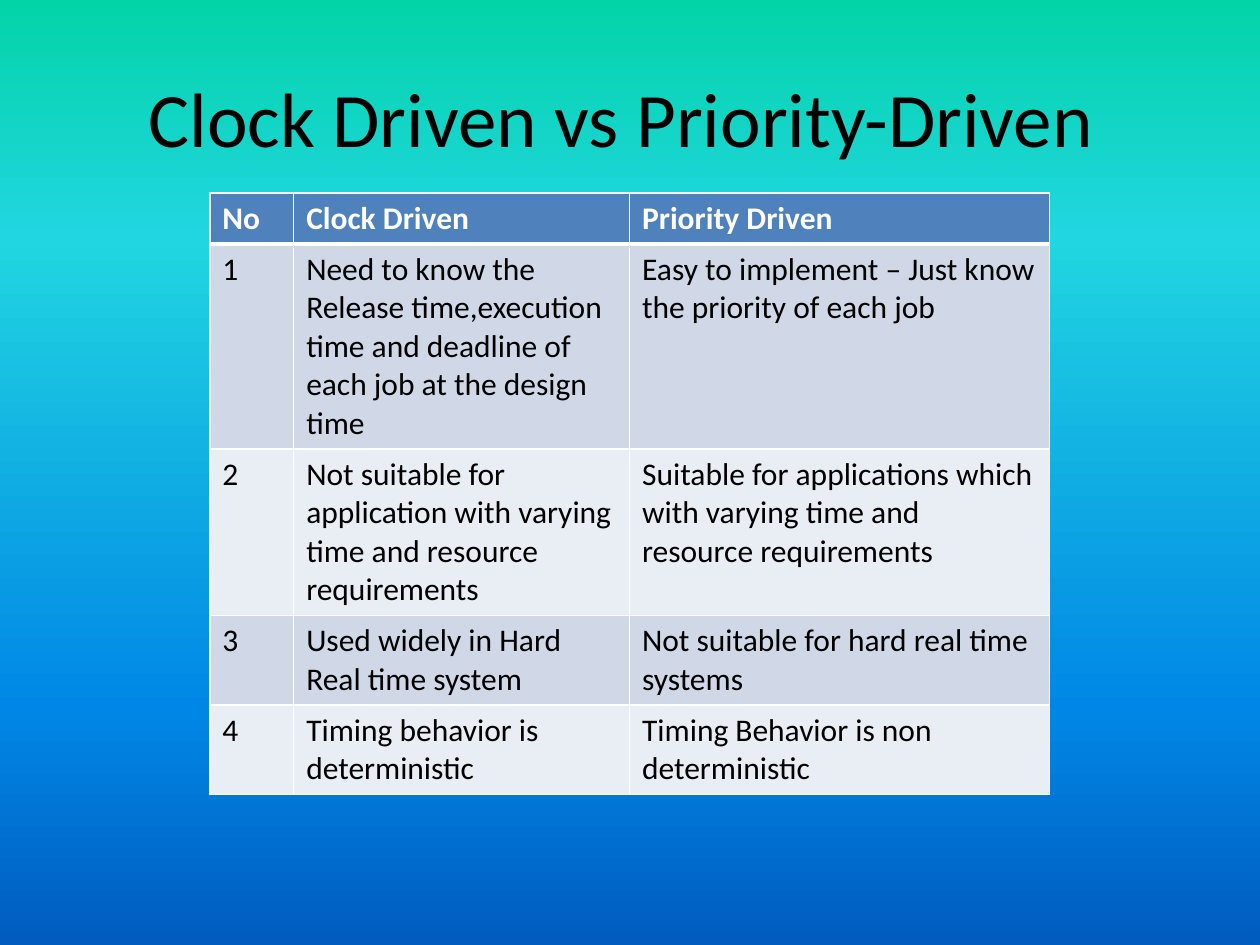
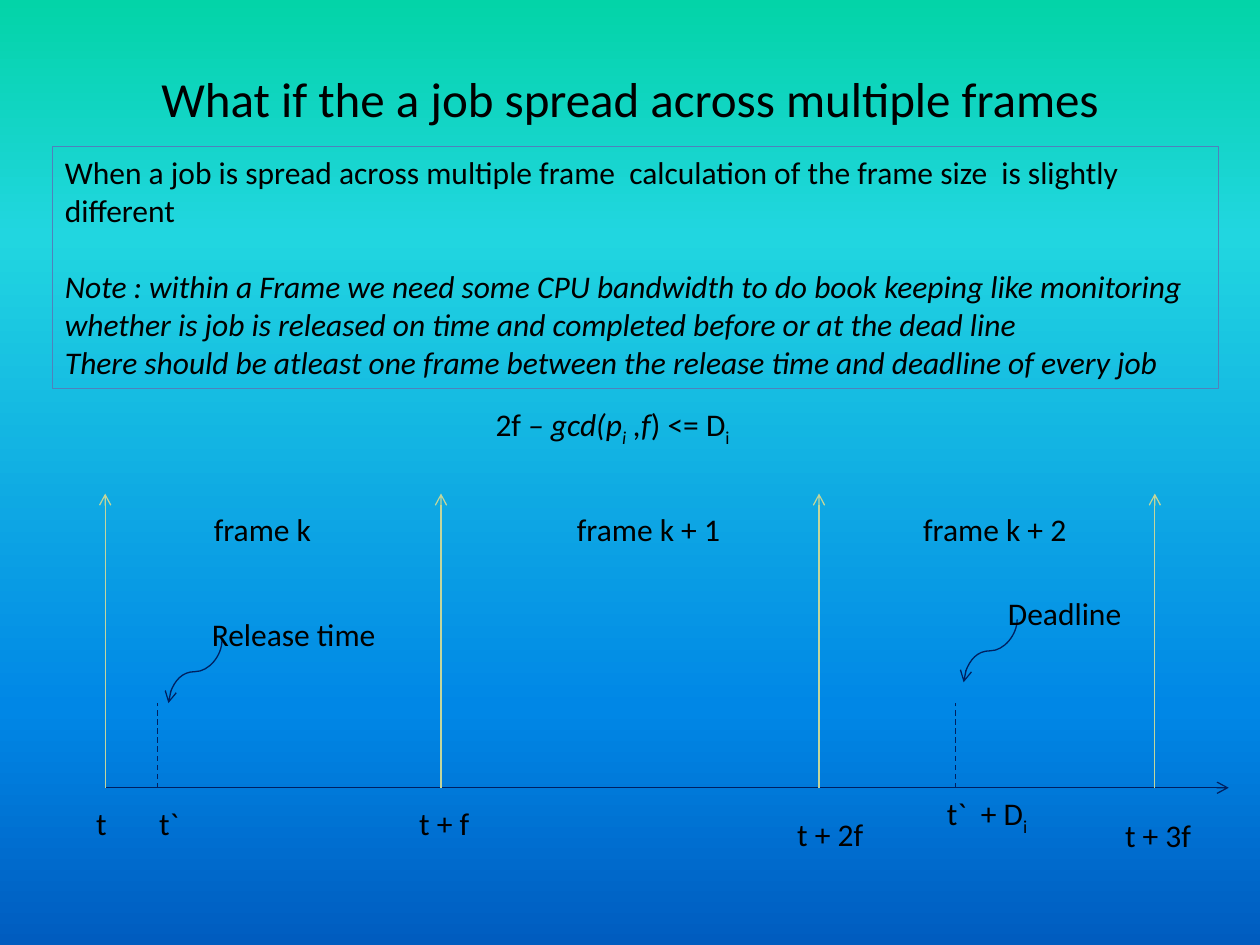
from dataclasses import dataclass, field

import lxml.etree
import pptx
import pptx.dml.color
import pptx.enum.dml
import pptx.enum.shapes
import pptx.enum.text
import pptx.oxml.ns
import pptx.util
from pptx.util import Cm

RGBColor = pptx.dml.color.RGBColor
BLACK = RGBColor(0x00, 0x00, 0x00)
WHITE = RGBColor(0xFF, 0xFF, 0xFF)
BLUE = RGBColor(0x4F, 0x81, 0xBD)
NAVY = RGBColor(0x00, 0x20, 0x60)
GREEN = RGBColor(0xC3, 0xD6, 0x9B)
BANDS = (RGBColor(0xD0, 0xD8, 0xE8), RGBColor(0xE9, 0xED, 0xF4))
STOPS = (
    (0, RGBColor(0x03, 0xD4, 0xA8)),
    (25, RGBColor(0x21, 0xD6, 0xE0)),
    (75, RGBColor(0x00, 0x87, 0xE6)),
    (100, RGBColor(0x00, 0x5C, 0xBF)),
)

BASE = {"name": "Calibri", "size": pptx.util.Pt(18), "bold": False, "italic": False}
HEAD = {"bold": True}
SLANT = {"italic": True}
LEFT = pptx.enum.text.PP_ALIGN.LEFT
MID = pptx.enum.text.PP_ALIGN.CENTER
STRAIGHT = pptx.enum.shapes.MSO_CONNECTOR.STRAIGHT
CURVE = pptx.enum.shapes.MSO_CONNECTOR.CURVE

ROWS = (
    ("No", "Clock Driven", "Priority Driven"),
    ("1", "Need to know the Release time,execution time and deadline of each job at the design time",
     "Easy to implement – Just know the priority of each job"),
    ("2", "Not suitable for application with varying time and resource requirements",
     "Suitable for applications which with varying time and resource requirements"),
    ("3", "Used widely in Hard Real time system", "Not suitable for hard real time systems"),
    ("4", "Timing behavior is deterministic", "Timing Behavior is non deterministic"),
)
COLS = (1.69, 6.77, 8.47)

AXIS = 15.88  # height of the time axis on the slide, in cm
TICKS = (2.12, 8.89, 16.51, 23.28)
MARKS = (3.18, 19.26)


@dataclass
class Run:
    text: str
    form: dict = field(default_factory=dict)
    sub: bool = False


@dataclass
class Label:
    left: float
    top: float
    width: float
    runs: list[Run]


@dataclass
class Line:
    start: tuple[float, float]
    end: tuple[float, float]
    color: RGBColor = NAVY
    kind: int = STRAIGHT
    dash: bool = False
    arrow: bool = True
    turn: int = 0


LABELS = (
    Label(4.06, 10.16, 2.49, [Run("frame k")]),
    Label(11.38, 10.16, 3.43, [Run("frame k + 1")]),
    Label(18.36, 10.16, 3.43, [Run("frame k + 2")]),
    Label(8.2, 16.09, 1.55, [Run("t + f")]),
    Label(15.82, 16.3, 1.85, [Run("t + 2f")]),
    Label(22.43, 16.33, 1.85, [Run("t + 3f")]),
    Label(1.69, 16.09, 0.74, [Run("t")]),
    Label(2.96, 16.09, 1.07, [Run("t`")]),
    Label(18.84, 15.88, 2.21, [Run("t`  + D"), Run("i", sub=True)]),
    Label(4.02, 12.28, 3.86, [Run("Release time")]),
    Label(20.07, 11.85, 2.82, [Run("Deadline")]),
    Label(9.74, 8.04, 5.44, [
        Run("2f "), Run("– gcd(p", SLANT), Run("i", SLANT, True),
        Run(" ,f", SLANT), Run(") <= D"), Run("i", sub=True),
    ]),
)
LINES = (
    Line((2.12, AXIS), (24.77, AXIS)),
    *(Line((x, AXIS), (x, 9.95), GREEN) for x in TICKS),
    *(Line((x, AXIS), (x, 14.18), dash=True, arrow=False) for x in MARKS),
    *(Line((x, y), (x + 1.27, y + 1.08), kind=CURVE, turn=90)
      for x, y in ((3.3, 13), (19.33, 12.58))),
)
NOTES = (
    (Run("When a job is spread across multiple frame  calculation of the frame size  is slightly different"), 0),
    (Run("Note : within a Frame we need some CPU bandwidth to do book keeping like monitoring "
         "whether is job is released on time and completed before or at the dead line", SLANT), 22),
    (Run("There should be atleast one frame between the release time and deadline of every job", SLANT), 0),
)


def node(up, tag: str, **props):
    """Append a drawing element to its parent."""
    return lxml.etree.SubElement(up, pptx.oxml.ns.qn(tag), props)


def paint(up, color: RGBColor) -> None:
    node(up, "a:srgbClr", val=str(color))


def write(par, runs: list[Run], color: RGBColor = BLACK, align: int = LEFT) -> None:
    par.alignment = align
    for part in runs:
        run = par.add_run()
        run.text = part.text
        for key, value in {**BASE, **part.form}.items():
            setattr(run.font, key, value)
        run.font.color.rgb = color
        if part.sub:
            run._r.get_or_add_rPr().set("baseline", "-25000")


def set_back(deck) -> None:
    """Give the master the gradient that every slide shows."""
    master = deck.slide_master
    fill = master.background.fill
    fill.gradient()
    fill.gradient_angle = 270
    stops = master.element.find(".//" + pptx.oxml.ns.qn("a:gsLst"))
    stops.clear()
    for place, color in STOPS:
        paint(node(stops, "a:gs", pos=str(place * 1000)), color)


def add_slide(deck, text: str, size: int, height: float):
    slide = deck.slides.add_slide(deck.slide_layouts[5])
    title = slide.shapes.title
    spot = {"left": 1.27, "top": 0.76, "width": 22.86, "height": height}
    for key, value in spot.items():
        setattr(title, key, Cm(value))
    frame = title.text_frame
    frame.vertical_anchor = pptx.enum.text.MSO_ANCHOR.MIDDLE
    write(frame.paragraphs[0], [Run(text, {"size": pptx.util.Pt(size)})], align=MID)
    return slide


def edge(cell, row: int) -> None:
    """Draw white cell borders, thick beneath the header row."""
    props = cell._tc.get_or_add_tcPr()
    for side in "LRTB":
        thick = (row, side) in ((0, "B"), (1, "T"))
        line = node(props, f"a:ln{side}", w=str(pptx.util.Pt(3 if thick else 1)))
        paint(node(line, "a:solidFill"), WHITE)


def add_grid(slide) -> None:
    frame = slide.shapes.add_table(
        len(ROWS), len(COLS), Cm(4.23), Cm(3.89), Cm(sum(COLS)), Cm(11.96))
    table = frame.table
    for col, width in zip(table.columns, COLS):
        col.width = Cm(width)
    for r, texts in enumerate(ROWS):
        table.rows[r].height = Cm(1.03)
        for c, text in enumerate(texts):
            cell = table.cell(r, c)
            edge(cell, r)
            cell.fill.solid()
            cell.fill.fore_color.rgb = BANDS[(r - 1) % 2] if r else BLUE
            run = Run(text, {} if r else HEAD)
            write(cell.text_frame.paragraphs[0], [run], BLACK if r else WHITE)
    frame.height = Cm(11.96)


def add_notes(slide) -> None:
    box = slide.shapes.add_shape(
        pptx.enum.shapes.MSO_SHAPE.RECTANGLE, Cm(1.06), Cm(2.96), Cm(23.5), Cm(4.88))
    box.shadow.inherit = False
    box.fill.background()
    box.line.color.rgb = BLUE
    box.line.width = pptx.util.Pt(0.75)
    frame = box.text_frame
    frame.word_wrap = True
    frame.auto_size = pptx.enum.text.MSO_AUTO_SIZE.SHAPE_TO_FIT_TEXT
    frame.vertical_anchor = pptx.enum.text.MSO_ANCHOR.TOP
    for i, (run, gap) in enumerate(NOTES):
        par = frame.add_paragraph() if i else frame.paragraphs[0]
        if gap:
            par.space_before = pptx.util.Pt(gap)
        write(par, [run])


def add_label(slide, label: Label) -> None:
    box = slide.shapes.add_textbox(
        Cm(label.left), Cm(label.top), Cm(label.width), Cm(1.02))
    frame = box.text_frame
    frame.word_wrap = False
    frame.auto_size = pptx.enum.text.MSO_AUTO_SIZE.SHAPE_TO_FIT_TEXT
    write(frame.paragraphs[0], label.runs)


def add_line(slide, line: Line) -> None:
    ends = (Cm(v) for v in line.start + line.end)
    link = slide.shapes.add_connector(line.kind, *ends)
    link.line.color.rgb = line.color
    link.line.width = pptx.util.Pt(0.75)
    if line.dash:
        link.line.dash_style = pptx.enum.dml.MSO_LINE.DASH
    props = link.element.spPr
    if line.arrow:
        node(props.find(pptx.oxml.ns.qn("a:ln")), "a:tailEnd", type="arrow")
    if line.turn:
        props.find(pptx.oxml.ns.qn("a:xfrm")).set("rot", str(line.turn * 60000))
    node(props, "a:effectLst")


def main() -> None:
    deck = pptx.Presentation()
    deck.slide_width, deck.slide_height = Cm(25.4), Cm(19.05)
    set_back(deck)

    add_grid(add_slide(deck, "Clock Driven vs Priority-Driven ", 44, 3.18))

    slide = add_slide(deck, "What if the a job spread across multiple frames", 28, 2.41)
    add_notes(slide)
    for line in LINES:
        add_line(slide, line)
    for label in LABELS:
        add_label(slide, label)

    deck.save("out.pptx")


if __name__ == "__main__":
    main()
